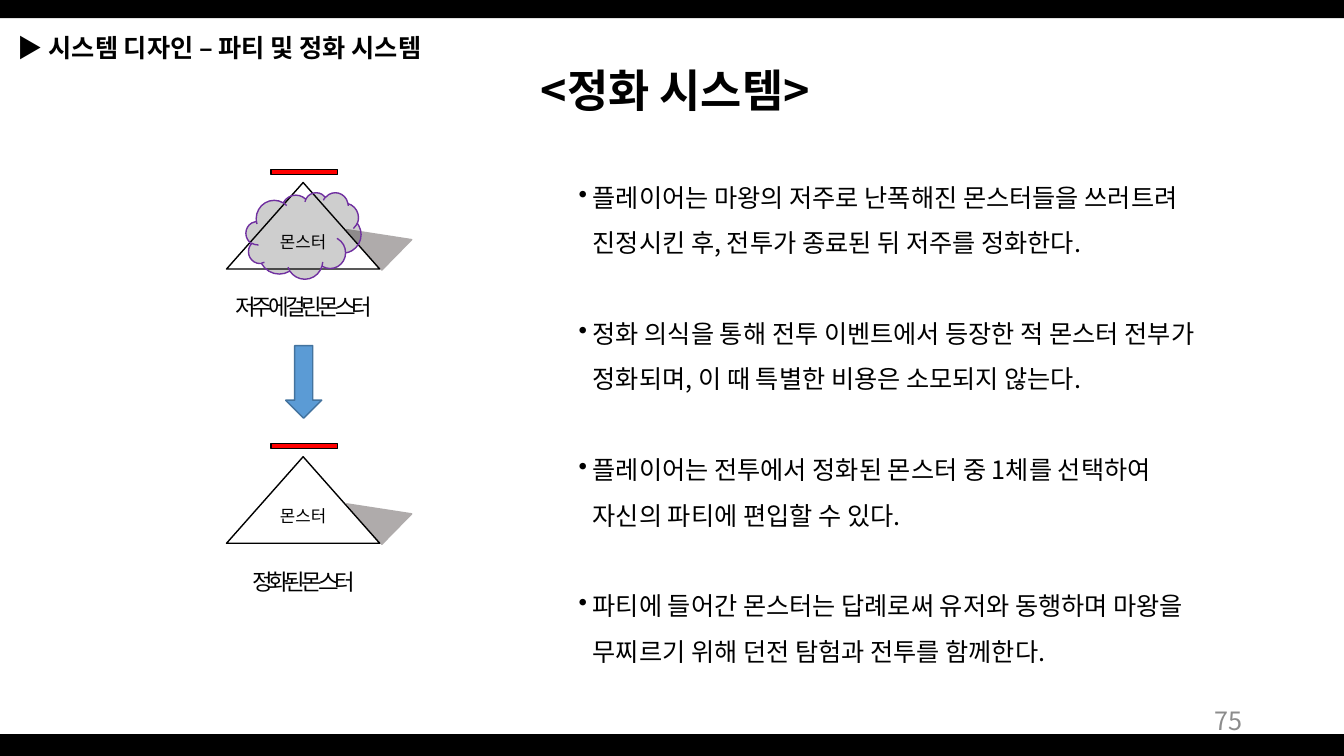
from pptx import Presentation
from pptx.dml.color import RGBColor
from pptx.enum.shapes import MSO_SHAPE as SHAPE
from pptx.enum.text import MSO_ANCHOR as ANCHOR, PP_ALIGN as ALIGN
from pptx.oxml.ns import qn
from pptx.util import Cm, Pt
from lxml.etree import SubElement

FONT = "Noto Sans CJK KR"
WIDTH, HEIGHT = 33.87, 19.05
RULES = [
    ("플레이어는 마왕의 저주로 난폭해진 몬스터들을 쓰러트려",
     "진정시킨 후, 전투가 종료된 뒤 저주를 정화한다."),
    ("정화 의식을 통해 전투 이벤트에서 등장한 적 몬스터 전부가",
     "정화되며, 이 때 특별한 비용은 소모되지 않는다."),
    ("플레이어는 전투에서 정화된 몬스터 중 1체를 선택하여",
     "자신의 파티에 편입할 수 있다."),
    ("파티에 들어간 몬스터는 답례로써 유저와 동행하며 마왕을",
     "무찌르기 위해 던전 탐험과 전투를 함께한다."),
]


def rgb(color):
    return RGBColor.from_string(color)


def add_run(p, text, size, color="000000", bold=False, font=FONT, spacing=0):
    r = p.add_run()
    r.text = text
    r.font.size, r.font.bold, r.font.name = Pt(size), bold, font
    r.font.color.rgb = rgb(color)
    rPr = r.font._element
    SubElement(rPr, qn("a:ea")).set("typeface", FONT)
    if spacing:
        rPr.set("spc", str(spacing * 100))


def add_shape(s, kind, x, y, w, h, fill, line=None):
    sp = s.shapes.add_shape(kind, Cm(x), Cm(y), Cm(w), Cm(h))
    sp.shadow.inherit = False
    sp.fill.solid()
    sp.fill.fore_color.rgb = rgb(fill)
    if line:
        sp.line.color.rgb = rgb(line)
        sp.line.width = Pt(1)
    else:
        sp.line.fill.background()
    return sp


def add_text(s, x, y, w, h, align=ALIGN.LEFT, anchor=ANCHOR.TOP):
    tf = s.shapes.add_textbox(Cm(x), Cm(y), Cm(w), Cm(h)).text_frame
    tf.word_wrap = True
    tf.vertical_anchor = anchor
    tf.paragraphs[0].alignment = align
    return tf


def frame(s, bottom=18.5, top_height=0.46):
    # Black bands and page number
    add_shape(s, SHAPE.RECTANGLE, 0, bottom, WIDTH, HEIGHT - bottom, "000000")
    add_shape(s, SHAPE.RECTANGLE, 0, 0, WIDTH, top_height, "000000")
    tf = add_text(s, 23.93, 17.65, 7.62, 1.02, ALIGN.RIGHT, ANCHOR.MIDDLE)
    add_run(tf.paragraphs[0], "75", 18, "8C8C8C")


def headings(s):
    # Section heading and centred title
    p = add_text(s, 0.2, 0.69, 17.45, 1.02).paragraphs[0]
    add_run(p, "▶ ", 18)
    add_run(p, "시스템 디자인 – 파티 및 정화 시스템", 18, bold=True)
    p = add_text(s, 8.36, 1.45, 17.32, 1.63, ALIGN.CENTER).paragraphs[0]
    for text, spacing in (("<", -3), ("정화 시스템", 0), (">", -3)):
        add_run(p, text, 32, bold=True, spacing=spacing)


def monster(s, x, y, w, caption, cursed=False):
    # Cast shadow
    shade = add_shape(s, SHAPE.ISOSCELES_TRIANGLE, x + 3.73, y + 1.14,
                      1.35, 1.07, "AFABAB", "AFABAB")
    shade.adjustments[0] = 0.937
    shade.rotation = 49

    # Body with its label
    body = add_shape(s, SHAPE.ISOSCELES_TRIANGLE, x + 0.53, y + 0.33,
                     3.86, 2.18, "FFFFFF", "000000")
    tf = body.text_frame
    tf.word_wrap = False
    tf.vertical_anchor = ANCHOR.MIDDLE
    tf.margin_left = tf.margin_right = 0
    tf.margin_bottom = Cm(0.4)
    tf.paragraphs[0].alignment = ALIGN.CENTER
    add_run(tf.paragraphs[0], "몬스터", 12)

    # Health bar
    add_shape(s, SHAPE.RECTANGLE, x + 1.65, y, 1.68, 0.13, "FF0000", "000000")

    # Curse cloud
    if cursed:
        cloud = add_shape(s, SHAPE.CLOUD, x + 1.02, y + 0.58, 2.9, 2.18,
                          "0D0D0D", "7030A0")
        color = cloud.fill._xPr.find(qn("a:solidFill"))[0]
        SubElement(color, qn("a:alpha")).set("val", "20000")

    # Caption
    p = add_text(s, x, y + 3, w, 0.94, ALIGN.CENTER).paragraphs[0]
    add_run(p, caption, 16, font="Arial", spacing=-3)


def purification(s, x, y, w):
    # Cursed monster, arrow, purified monster
    monster(s, x, y, w, "저주에 걸린 몬스터", cursed=True)
    monster(s, x, y + 6.91, w, "정화된 몬스터")
    add_shape(s, SHAPE.DOWN_ARROW, x + (w - 0.91) / 2, y + 4.44, 0.91, 1.83,
              "5B9BD5", "43739E")


def rules(s, x, y, w, h, pitch=32.4, hang=0.36):
    # Bulleted rules, one empty line apart
    tf = add_text(s, x, y, w, h)
    for i, lines in enumerate(RULES):
        p = tf.paragraphs[0] if i == 0 else tf.add_paragraph()
        pPr = p._p.get_or_add_pPr()
        pPr.set("marL", str(Cm(hang)))
        pPr.set("indent", str(-Cm(hang)))
        SubElement(pPr, qn("a:buChar")).set("char", "•")
        p.line_spacing = Pt(pitch)
        if i:
            p.space_before = Pt(pitch)
        add_run(p, lines[0], 18)
        p.add_line_break()
        add_run(p, lines[1], 18)


def main():
    prs = Presentation()
    prs.slide_width, prs.slide_height = Cm(WIDTH), Cm(HEIGHT)
    s = prs.slides.add_slide(prs.slide_layouts[6])
    frame(s)
    headings(s)
    purification(s, 5.18, 4.27, 4.95)
    rules(s, 14.33, 4.09, 18.8, 12.95)
    prs.save("out.pptx")


if __name__ == "__main__":
    main()
